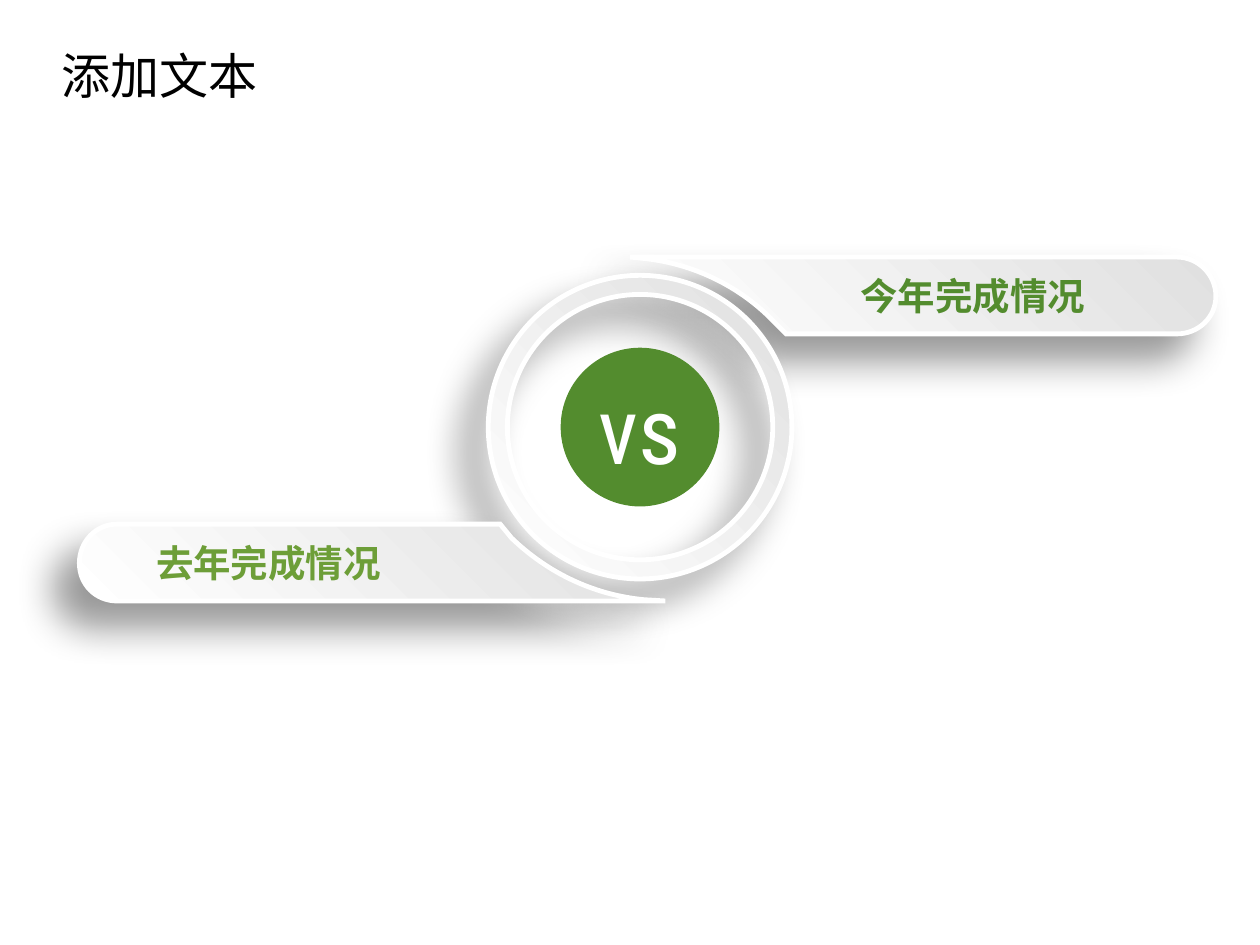
from lxml import etree
from pptx import Presentation
from pptx import util as u
from pptx.dml.color import RGBColor
from pptx.enum import shapes, text
from pptx.oxml import ns

HUES = {"ink": "000000", "white": "FFFFFF", "grey": "E0E0E0",
        "green": "538C2E", "lime": "6D9E38"}
SANS = "Noto Sans CJK SC"
TITLE = "添加文本"
BARS = [
    {"text": "今年完成情况", "hue": "green", "inset": 0.94,
     "align": text.PP_ALIGN.CENTER, "start": (5.04, 2.04),
     "steps": [[(9.34, 2.04)],
               [(9.51, 2.04), (9.65, 2.18), (9.65, 2.35)],
               [(9.65, 2.52), (9.51, 2.65), (9.34, 2.65)],
               [(6.24, 2.65)], [(6.14, 2.55)],
               [(5.87, 2.27), (5.5, 2.09), (5.1, 2.05)], [(5, 2.04)]]},
    {"text": "去年完成情况", "hue": "lime", "inset": 0.61,
     "align": text.PP_ALIGN.LEFT, "start": (0.93, 4.16),
     "steps": [[(3.97, 4.16)], [(4.06, 4.27)],
               [(4.34, 4.54), (4.7, 4.72), (5.11, 4.76)],
               [(5.28, 4.77)], [(0.93, 4.77)],
               [(0.76, 4.77), (0.63, 4.64), (0.63, 4.47)],
               [(0.63, 4.3), (0.76, 4.16), (0.93, 4.16)]]},
]
MID = (5.08, 3.39)
RING, DISC = 2.41, 1.26


def rgb(name):
    return RGBColor.from_string(HUES[name])


def scale(spot):
    return tuple(u.Inches(n) for n in spot)


def outline(slide, start, steps):
    pen = slide.shapes.build_freeform(*scale(start))
    pen.add_line_segments([scale(step[-1]) for step in steps], close=True)
    shape = pen.convert_to_shape()
    edges = list(shape._element.iter(ns.qn("a:lnTo")))
    for edge, step in zip(edges, steps):
        if len(step) == 3:
            edge.tag = ns.qn("a:cubicBezTo")
            for i, spot in enumerate(step[:2]):
                x, y = scale(spot)
                knot = etree.Element(ns.qn("a:pt"), x=str(x - shape.left),
                                     y=str(y - shape.top))
                edge.insert(i, knot)
    return shape


def gloss(shape):
    shape.fill.gradient()
    shape.fill.gradient_angle = 225
    for stop, name in zip(shape.fill.gradient_stops, ("grey", "white")):
        stop.color.rgb = rgb(name)
    shape.line.color.rgb = rgb("white")
    shape.line.width = u.Pt(2.75)
    props = shape._element.spPr
    etree.SubElement(props.find(ns.qn("a:ln")), ns.qn("a:miter"), lim="800000")
    shape.shadow.inherit = False
    glow = props.find(ns.qn("a:effectLst"))
    cast = etree.SubElement(glow, ns.qn("a:outerShdw"), blurRad=str(u.Pt(22)),
                            dist=str(u.Pt(20)), dir="8100000", algn="tr",
                            rotWithShape="0")
    tint = etree.SubElement(cast, ns.qn("a:srgbClr"), val=HUES["ink"])
    etree.SubElement(tint, ns.qn("a:alpha"), val="40000")


def write(shape, words, size, hue, font, align, inset, bold=False):
    frame = shape.text_frame
    frame.text = words
    frame.vertical_anchor = text.MSO_ANCHOR.MIDDLE
    (frame.margin_left, frame.margin_top,
     frame.margin_right, frame.margin_bottom) = scale(inset)
    line = frame.paragraphs[0]
    line.alignment = align
    run = line.runs[0]
    run.font.size, run.font.bold, run.font.name = u.Pt(size), bold, font
    run.font.color.rgb = rgb(hue)
    etree.SubElement(run.font._element, ns.qn("a:ea"), typeface=SANS)


def round_shape(slide, kind, size):
    left, top = scale(c - size / 2 for c in MID)
    return slide.shapes.add_shape(kind, left, top, u.Inches(size), u.Inches(size))


def add_bar(slide, bar):
    shape = outline(slide, bar["start"], bar["steps"])
    gloss(shape)
    write(shape, bar["text"], 21.4, bar["hue"], "Arial", bar["align"],
          (bar["inset"], 0.07, 0.15, 0.07), True)


def main():
    deck = Presentation()
    deck.slide_width, deck.slide_height = scale((10, 7.5))
    slide = deck.slides.add_slide(deck.slide_layouts[5])

    title = slide.shapes.title
    title.left, title.top, title.width, title.height = scale((0.39, 0.31, 1.77, 0.57))
    write(title, TITLE, 28, "ink", SANS, text.PP_ALIGN.LEFT, (0.1, 0.05, 0.1, 0.05))
    title.text_frame.word_wrap = False

    add_bar(slide, BARS[0])
    ring = round_shape(slide, shapes.MSO_SHAPE.DONUT, RING)
    ring.adjustments[0] = 0.063
    gloss(ring)

    disc = round_shape(slide, shapes.MSO_SHAPE.OVAL, DISC)
    disc.fill.solid()
    disc.fill.fore_color.rgb = rgb("green")
    disc.line.fill.background()
    disc.shadow.inherit = False
    write(disc, "vs", 53.4, "white", "Roboto Condensed",
          text.PP_ALIGN.CENTER, (0, 0, 0, 0))
    add_bar(slide, BARS[1])

    deck.save("out.pptx")


if __name__ == "__main__":
    main()
